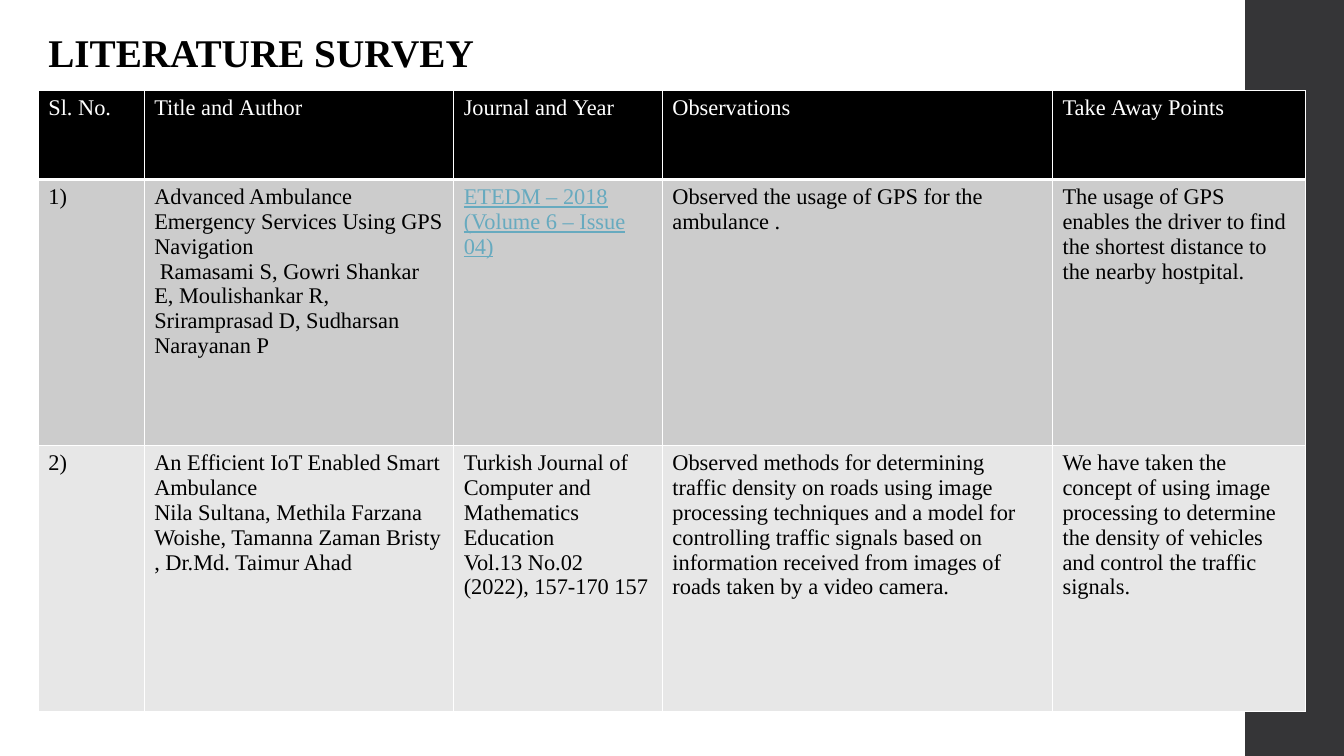
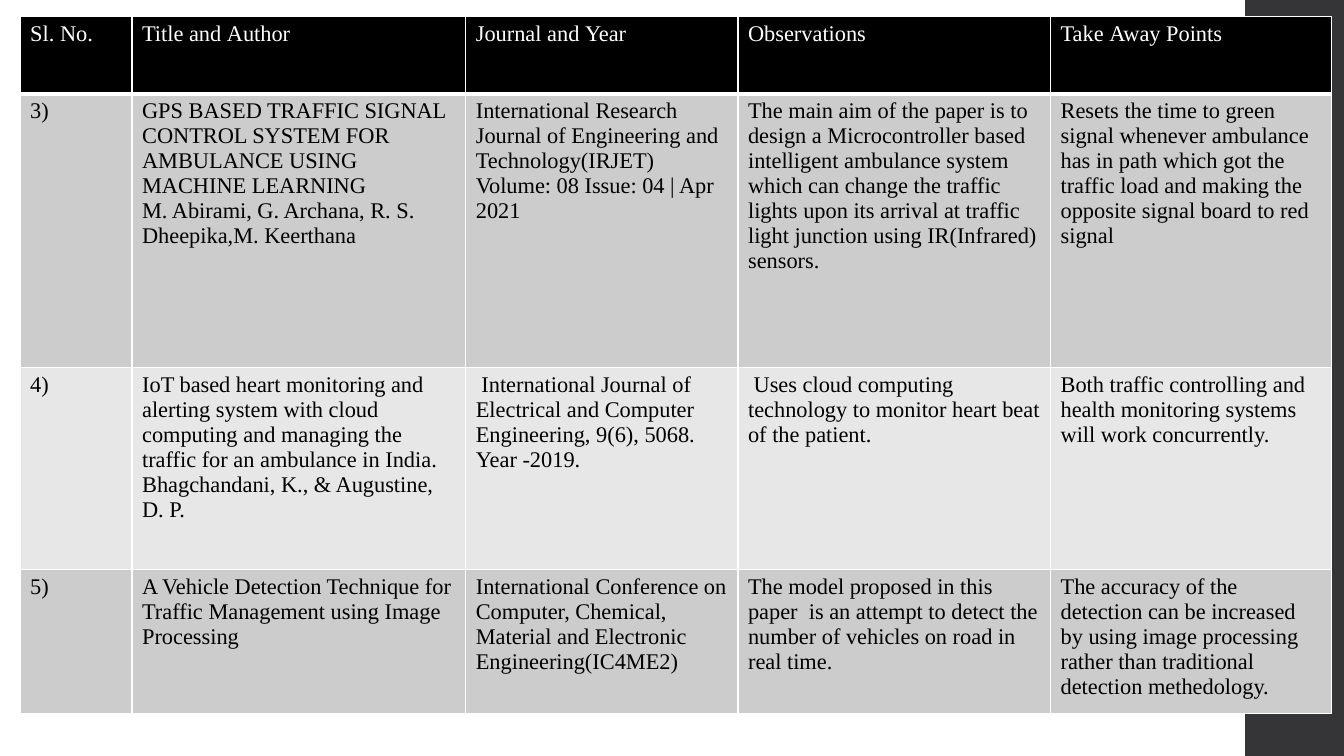
from lxml.etree import SubElement
from pptx import Presentation
from pptx.dml.color import RGBColor
from pptx.enum.shapes import MSO_SHAPE as SHAPE
from pptx.enum.text import MSO_ANCHOR as ANCHOR, PP_ALIGN as ALIGN
from pptx.oxml.ns import qn
from pptx.util import Inches, Pt

FONT = "Times New Roman"
BLACK, WHITE, BAND, LINK = "000000", "FFFFFF", "353537", "67AABF"
ROW_FILLS = ["CCCCCC", "E7E7E7"]
HEADER = ["Sl.\u00a0No.", "Title\u00a0and\u00a0Author", "Journal\u00a0and\u00a0Year",
          "Observations", "Take\u00a0Away\u00a0Points"]


def rgb(color):
    return RGBColor.from_string(color)


def write(tf, text, size=16, color=BLACK, bold=False, underline=False):
    for i, line in enumerate(text.split("\n")):
        p = tf.add_paragraph() if i else tf.paragraphs[0]
        p.alignment = ALIGN.LEFT
        r = p.add_run()
        r.text = line
        font = r.font
        font.name, font.size, font.bold = FONT, Pt(size), bold
        font.underline = underline
        font.color.rgb = rgb(color)


class Deck:
    def __init__(self):
        self.prs = Presentation()
        self.prs.slide_width, self.prs.slide_height = Inches(13.33), Inches(7.5)
        self.s = None

    def slide(self, title=None):
        layout = self.prs.slide_layouts[5 if title else 6]
        self.s = self.prs.slides.add_slide(layout)
        self.band()
        if title:
            self.title(title)

    def band(self):
        shapes = self.s.shapes
        sp = shapes.add_shape(SHAPE.RECTANGLE, Inches(12.35), 0, Inches(1), Inches(7.5))
        sp.shadow.inherit = False
        sp.fill.solid()
        sp.fill.fore_color.rgb = rgb(BAND)
        sp.line.fill.background()
        shapes._spTree.insert(2, sp._element)

    def title(self, text):
        sp = self.s.shapes.title
        sp.left, sp.top = Inches(0.38), Inches(0.23)
        sp.width, sp.height = Inches(12.95), Inches(1.04)
        tf = sp.text_frame
        tf.word_wrap = True
        tf.vertical_anchor = ANCHOR.TOP
        write(tf, text, size=28, bold=True)

    def border(self, cell, bottom):
        tcPr = cell._tc.get_or_add_tcPr()
        for side, width in zip("LRTB", (1, 1, 1, bottom)):
            ln = SubElement(tcPr, qn("a:ln" + side), w=str(Pt(width)))
            fill = SubElement(ln, qn("a:solidFill"))
            SubElement(fill, qn("a:srgbClr"), val=WHITE)

    def cell(self, cell, text, fill, bottom=1, **style):
        self.border(cell, bottom)
        cell.fill.solid()
        cell.fill.fore_color.rgb = rgb(fill)
        write(cell.text_frame, text, **style)

    def table(self, left, top, widths, heights, papers, styles=None):
        styles = styles or {}
        table = self.s.shapes.add_table(
            len(heights), len(widths), Inches(left), Inches(top),
            Inches(sum(widths)), Inches(sum(heights))).table
        for column, width in zip(table.columns, widths):
            column.width = Inches(width)
        for row, height in zip(table.rows, heights):
            row.height = Inches(height)
        for c, text in enumerate(HEADER):
            self.cell(table.cell(0, c), text, BLACK, bottom=3, color=WHITE)
        for r, paper in enumerate(papers, 1):
            for c, text in enumerate(paper):
                self.cell(table.cell(r, c), text, ROW_FILLS[(r - 1) % 2],
                          **styles.get((r, c), {}))


deck = Deck()

deck.slide("LITERATURE SURVEY")
deck.table(0.38, 0.9, [1.05, 3.07, 2.07, 3.87, 2.51], [0.88, 2.64, 2.64], [
    ["1)",
     "Advanced Ambulance Emergency Services Using GPS Navigation\n"
     "\u00a0Ramasami S, Gowri Shankar E, Moulishankar R, Sriramprasad D, "
     "Sudharsan Narayanan P",
     "ETEDM – 2018 (Volume 6 – Issue 04)",
     "Observed the usage of GPS for the ambulance .",
     "The usage of GPS enables the driver to find the shortest distance to the "
     "nearby hostpital."],
    ["2)",
     "An Efficient IoT Enabled Smart Ambulance\n"
     "Nila Sultana, Methila Farzana Woishe, Tamanna Zaman Bristy , "
     "Dr.Md. Taimur Ahad",
     "Turkish Journal of Computer and Mathematics Education\n"
     "Vol.13 No.02 (2022), 157-170 157",
     "Observed methods for determining traffic density on roads using image "
     "processing techniques and a model for controlling traffic signals based on "
     "information received from images of roads taken by a video camera.",
     "We have taken the concept of using image processing to determine the density "
     "of vehicles and control the traffic signals."],
], styles={(1, 2): dict(color=LINK, underline=True)})

deck.slide()
deck.table(0.2, 0.16, [1.11, 3.31, 2.7, 3.1, 2.79], [0.77, 2.72, 2, 1.43], [
    ["3)",
     "GPS BASED TRAFFIC SIGNAL CONTROL SYSTEM FOR AMBULANCE USING MACHINE LEARNING\n"
     "M. Abirami, G. Archana, R. S. Dheepika,M. Keerthana",
     "International Research Journal of Engineering and Technology(IRJET)\n"
     "Volume: 08 Issue: 04 | Apr 2021",
     "The main aim of the paper is to design a Microcontroller based intelligent "
     "ambulance system which can change the traffic lights upon its arrival at "
     "traffic light junction using IR(Infrared) sensors.",
     "Resets the time to green signal whenever ambulance has in path which got the "
     "traffic load and making the opposite signal board to red signal"],
    ["4)",
     "IoT based heart monitoring and alerting system with cloud computing and "
     "managing the traffic for an ambulance in India. Bhagchandani, K., & "
     "Augustine, D. P.",
     " International Journal of Electrical and Computer Engineering, 9(6), 5068. "
     "Year -2019.",
     " Uses cloud computing technology to monitor heart beat of the patient.",
     "Both traffic controlling and health monitoring systems will work concurrently."],
    ["5)",
     "A Vehicle Detection Technique for Traffic Management using Image Processing",
     "International Conference on Computer, Chemical, Material and Electronic "
     "Engineering(IC4ME2)",
     "The model proposed in this paper  is an attempt to detect the number of "
     "vehicles on road in real time.",
     "The accuracy of the detection can be increased by using image processing "
     "rather than traditional detection methedology."],
])

deck.prs.save("out.pptx")
